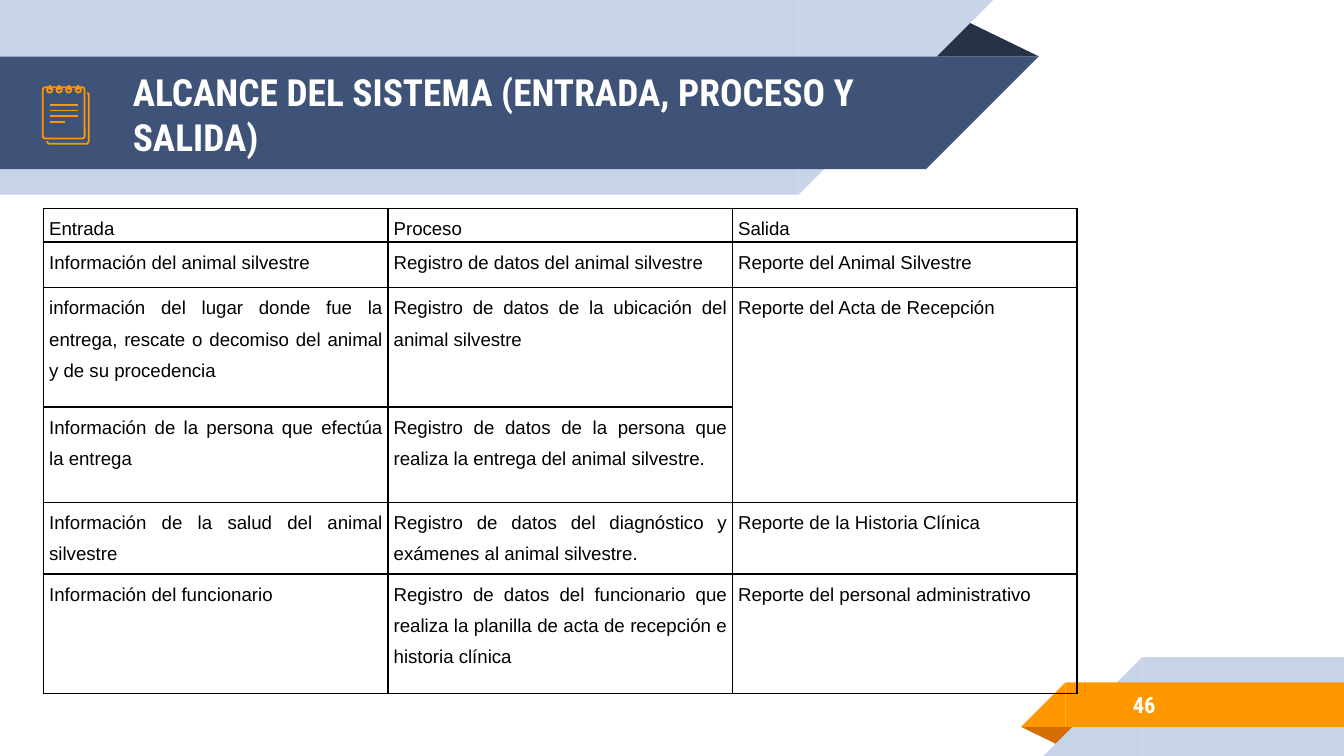
"""Builds the slide on the system scope: input, process and output."""
from dataclasses import dataclass

from lxml.etree import SubElement
from pptx import Presentation
from pptx.dml.color import RGBColor as Color
from pptx.enum.shapes import MSO_CONNECTOR as Connector, MSO_SHAPE as Preset
from pptx.enum.text import MSO_ANCHOR as Anchor, PP_ALIGN as Align
from pptx.oxml.ns import qn
from pptx.util import Cm, Pt

TITLE = "ALCANCE DEL SISTEMA (ENTRADA, PROCESO Y SALIDA)"
PAGE_NUMBER = "46"
ROWS = [
    ("Entrada", "Proceso", "Salida"),
    ("Información del animal silvestre",
     "Registro de datos del animal silvestre",
     "Reporte del Animal Silvestre"),
    ("información del lugar donde fue la entrega, rescate o decomiso del animal y de su procedencia",
     "Registro de datos de la ubicación del animal silvestre",
     "Reporte del Acta de Recepción"),
    ("Información de la persona que efectúa la entrega",
     "Registro de datos de la persona que realiza la entrega del animal silvestre.",
     None),
    ("Información de la salud del animal silvestre",
     "Registro de datos del diagnóstico y exámenes al animal silvestre.",
     "Reporte de la Historia Clínica"),
    ("Información del funcionario",
     "Registro de datos del funcionario que realiza la planilla de acta de recepción e historia clínica",
     "Reporte del personal administrativo"),
]
ROW_HEIGHTS = [0.41, 0.86, 2.26, 1.8, 1.35, 2.26]
COLUMN_WIDTH = 6.51
TABLE_LEFT, TABLE_TOP = 0.82, 3.94
SLIDE_WIDTH, SLIDE_HEIGHT = 25.4, 14.29


@dataclass(frozen=True)
class Theme:
    """Colours, fonts and type sizes of the slide."""
    pale: str = "C7D3E6"
    navy: str = "3F5378"
    dark: str = "263248"
    orange: str = "FF9800"
    rust: str = "D26F00"
    white: str = "FFFFFF"
    black: str = "000000"
    heading_font: str = "Roboto Condensed"
    body_font: str = "Arial"
    title_size: int = 20
    number_size: int = 12
    body_size: int = 10
    icon_line: float = 0.96
    border: float = 1


THEME = Theme()
HEADER_BANDS = [(0, 15.09, 3.68, THEME.pale), (1.07, 17.5, 2.13, THEME.navy)]
FOOTER_BANDS = [(12.42, 21.59, 1.87, THEME.pale), (12.9, 20.14, 0.84, THEME.orange)]
BACK_PAGE = [(0.89, 2.67), (0.9, 2.7), (0.94, 2.72), (1.65, 2.72),
             (1.68, 2.67), (1.68, 1.78), (1.65, 1.75)]
RING_LEFT, RING_STEP, RING_SIZE = 0.89, 0.18, 0.1
WRITING_TOP, WRITING_STEP = 1.98, 0.11
WRITING_WIDTHS = [0.53, 0.53, 0.53, 0.28]


def add_filled(slide, preset, left, top, width, height, color, rotation=0, mirrored=False):
    shape = slide.shapes.add_shape(preset, Cm(left), Cm(top), Cm(width), Cm(height))
    shape.shadow.inherit = False
    shape.fill.solid()
    shape.fill.fore_color.rgb = Color.from_string(color)
    shape.line.fill.background()
    shape.rotation = rotation
    if mirrored:
        shape._element.spPr.find(qn("a:xfrm")).set("flipH", "1")
    return shape


def add_fold(slide, left, top, width, height, color, rotation=0):
    fold = add_filled(slide, Preset.ISOSCELES_TRIANGLE, left, top, width, height, color, rotation)
    fold.adjustments[0] = 0.324


def add_bands(slide):
    add_fold(slide, 17.48, 0.36, 2.16, 0.71, THEME.dark)
    for top, edge, height, color in HEADER_BANDS:
        add_filled(slide, Preset.RECTANGLE, 0, top, edge, height, color)
        add_filled(slide, Preset.RIGHT_TRIANGLE, edge, top, height, height, color, 180, True)
    add_fold(slide, 19.3, 13.74, 1.09, 0.36, THEME.rust, 180)
    for top, edge, height, color in FOOTER_BANDS:
        add_filled(slide, Preset.RECTANGLE, edge, top, SLIDE_WIDTH - edge, height, color)
        add_filled(slide, Preset.RIGHT_TRIANGLE, edge - height, top, height, height, color,
                   mirrored=True)


def style_outline(shape):
    shape.line.color.rgb = Color.from_string(THEME.orange)
    shape.line.width = Pt(THEME.icon_line)


def add_outline(slide, preset, left, top, width, height):
    shape = slide.shapes.add_shape(preset, Cm(left), Cm(top), Cm(width), Cm(height))
    shape.shadow.inherit = False
    shape.fill.background()
    style_outline(shape)
    return shape


def add_stroke(slide, start, end):
    stroke = slide.shapes.add_connector(Connector.STRAIGHT, *map(Cm, start + end))
    SubElement(stroke._element.spPr, qn("a:effectLst"))
    style_outline(stroke)


def add_notebook(slide):
    points = [(Cm(x), Cm(y)) for x, y in BACK_PAGE]
    builder = slide.shapes.build_freeform(*points[0])
    builder.add_line_segments(points[1:], close=False)
    back_page = builder.convert_to_shape()
    back_page.shadow.inherit = False
    back_page.fill.background()
    style_outline(back_page)

    front_page = add_outline(slide, Preset.ROUNDED_RECTANGLE, 0.81, 1.65, 0.79, 0.97)
    front_page.adjustments[0] = 0.06
    for index, width in enumerate(WRITING_WIDTHS):
        y = WRITING_TOP + index * WRITING_STEP
        add_stroke(slide, (0.94, y), (0.94 + width, y))
    for index in range(4):
        left = RING_LEFT + index * RING_STEP
        middle = left + RING_SIZE / 2
        add_outline(slide, Preset.OVAL, left, 1.65, RING_SIZE, RING_SIZE)
        add_stroke(slide, (middle, 1.6), (middle, 1.7))


def add_run(paragraph, text, font, size, color, bold=False):
    run = paragraph.add_run()
    run.text = text
    run.font.name = font
    run.font.size = Pt(size)
    run.font.bold = bold
    run.font.color.rgb = Color.from_string(color)


def add_heading(slide, text, left, top, width, height, size):
    frame = slide.shapes.add_textbox(Cm(left), Cm(top), Cm(width), Cm(height)).text_frame
    frame.word_wrap = True
    frame.vertical_anchor = Anchor.MIDDLE
    frame.margin_left = frame.margin_right = frame.margin_top = frame.margin_bottom = Cm(0.25)
    add_run(frame.paragraphs[0], text, THEME.heading_font, size, THEME.white, True)


def style_cell(cell):
    properties = cell._tc.get_or_add_tcPr()
    for side in ("a:lnL", "a:lnR", "a:lnT", "a:lnB"):
        border = SubElement(properties, qn(side), w=str(Pt(THEME.border)))
        fill = SubElement(border, qn("a:solidFill"))
        SubElement(fill, qn("a:srgbClr"), val=THEME.black)
    cell.fill.background()
    cell.margin_left = cell.margin_right = Cm(0.11)
    cell.margin_top = cell.margin_bottom = 0


def add_scope_table(slide):
    columns = len(ROWS[0])
    table = slide.shapes.add_table(
        len(ROWS), columns, Cm(TABLE_LEFT), Cm(TABLE_TOP),
        Cm(COLUMN_WIDTH * columns), Cm(sum(ROW_HEIGHTS))).table
    table.first_row = table.horz_banding = False
    for column in table.columns:
        column.width = Cm(COLUMN_WIDTH)
    for row_index, (texts, height) in enumerate(zip(ROWS, ROW_HEIGHTS)):
        table.rows[row_index].height = Cm(height)
        for column_index, text in enumerate(texts):
            cell = table.cell(row_index, column_index)
            style_cell(cell)
            paragraph = cell.text_frame.paragraphs[0]
            paragraph.alignment = Align.JUSTIFY
            paragraph.line_spacing = 1.5
            paragraph.space_after = Pt(8)
            if text is None:
                table.cell(row_index - 1, column_index).merge(cell)
            else:
                add_run(paragraph, text, THEME.body_font, THEME.body_size, THEME.black)


def main():
    presentation = Presentation()
    presentation.slide_width, presentation.slide_height = Cm(SLIDE_WIDTH), Cm(SLIDE_HEIGHT)
    slide = presentation.slides.add_slide(presentation.slide_layouts[6])
    add_bands(slide)
    add_notebook(slide)
    add_heading(slide, TITLE, 2.26, 1.09, 14.61, 2.13, THEME.title_size)
    add_heading(slide, PAGE_NUMBER, 21.16, 12.88, 4.14, 0.89, THEME.number_size)
    add_scope_table(slide)
    presentation.save("out.pptx")


if __name__ == "__main__":
    main()
